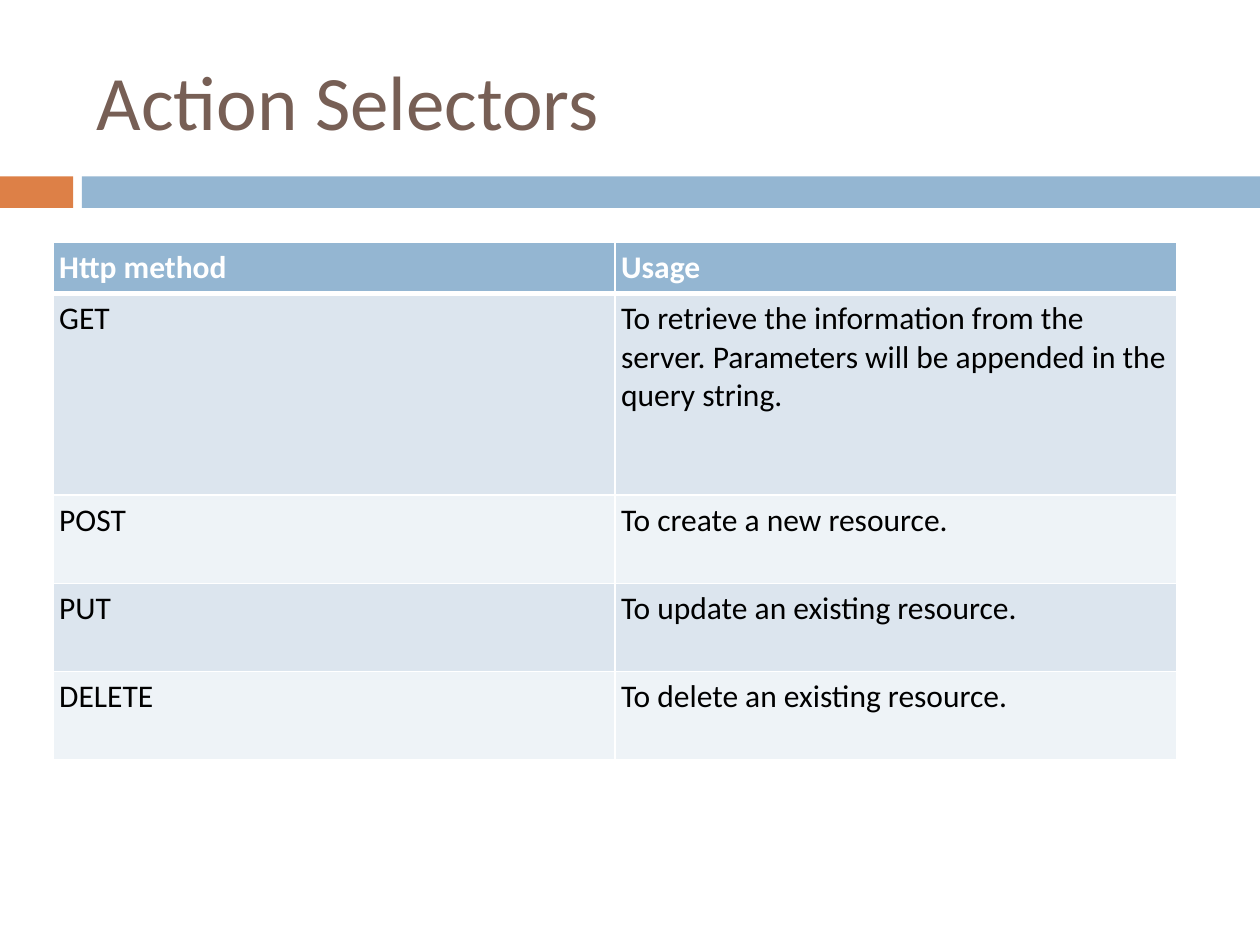
"""Build the Action Selectors slide with a table of HTTP methods."""
from lxml.etree import SubElement
from pptx import Presentation
from pptx.dml.color import RGBColor
from pptx.enum.shapes import MSO_SHAPE
from pptx.enum.text import MSO_ANCHOR
from pptx.oxml.ns import qn
from pptx.util import Inches, Pt

COLORS = {
    "title": "775F55",
    "accent": "DD8047",
    "blue": "94B6D2",
    "band_dark": "DCE5EE",
    "band_light": "EEF3F7",
    "white": "FFFFFF",
    "black": "000000",
}
ROWS = [
    ("Http method", "Usage"),
    ("GET", "To retrieve the information from the server. "
            "Parameters will be appended in the query string."),
    ("POST", "To create a new resource."),
    ("PUT", "To update an existing resource."),
    ("DELETE", "To delete an existing resource."),
]
ROW_HEIGHTS = [0.41, 1.6, 0.7, 0.7, 0.7]
CELL_FORMAT = {f"margin_{side}": Inches(0.05) for side in ("left", "right", "top", "bottom")}


def style_run(p, text, size, color, bold=False):
    r = p.add_run()
    r.text = text
    for name, value in {"name": "Calibri", "size": Pt(size), "bold": bold}.items():
        setattr(r.font, name, value)
    r.font.color.rgb = RGBColor.from_string(COLORS[color])


def add_border(cell, side, width):
    ln = SubElement(cell._tc.get_or_add_tcPr(), qn(f"a:ln{side}"), w=str(Pt(width)))
    fill = SubElement(ln, qn("a:solidFill"))
    SubElement(fill, qn("a:srgbClr"), val=COLORS["white"])


prs = Presentation()
prs.slide_width, prs.slide_height = Inches(10), Inches(7.5)
s = prs.slides.add_slide(prs.slide_layouts[6])

for left, width, color in [(0, 0.58, "accent"), (0.65, 9.35, "blue")]:
    sp = s.shapes.add_shape(MSO_SHAPE.RECTANGLE, Inches(left), Inches(1.4), Inches(width), Inches(0.25))
    sp.shadow.inherit = False
    sp.fill.solid()
    sp.fill.fore_color.rgb = RGBColor.from_string(COLORS[color])
    sp.line.fill.background()

sp = s.shapes.add_textbox(Inches(0.67), Inches(0.25), Inches(8.92), Inches(1.08))
tf = sp.text_frame
for name, value in {"word_wrap": True, "vertical_anchor": MSO_ANCHOR.MIDDLE}.items():
    setattr(tf, name, value)
style_run(tf.paragraphs[0], "Action Selectors", 44, "title")

table = s.shapes.add_table(
    len(ROWS), 2, Inches(0.42), Inches(1.92), Inches(8.92), Inches(sum(ROW_HEIGHTS))
).table
for i, (texts, height) in enumerate(zip(ROWS, ROW_HEIGHTS)):
    table.rows[i].height = Inches(height)
    header = i == 0
    fill = "blue" if header else ("band_light", "band_dark")[i % 2]
    for j, text in enumerate(texts):
        cell = table.cell(i, j)
        for name, value in CELL_FORMAT.items():
            setattr(cell, name, value)
        cell.vertical_anchor = MSO_ANCHOR.BOTTOM if header else MSO_ANCHOR.TOP
        widths = {"L": 1, "R": 1, "T": 3 if i == 1 else 1, "B": 3 if header else 1}
        for side, width in widths.items():
            add_border(cell, side, width)
        cell.fill.solid()
        cell.fill.fore_color.rgb = RGBColor.from_string(COLORS[fill])
        style_run(cell.text_frame.paragraphs[0], text, 18, "white" if header else "black", header)

prs.save("out.pptx")
